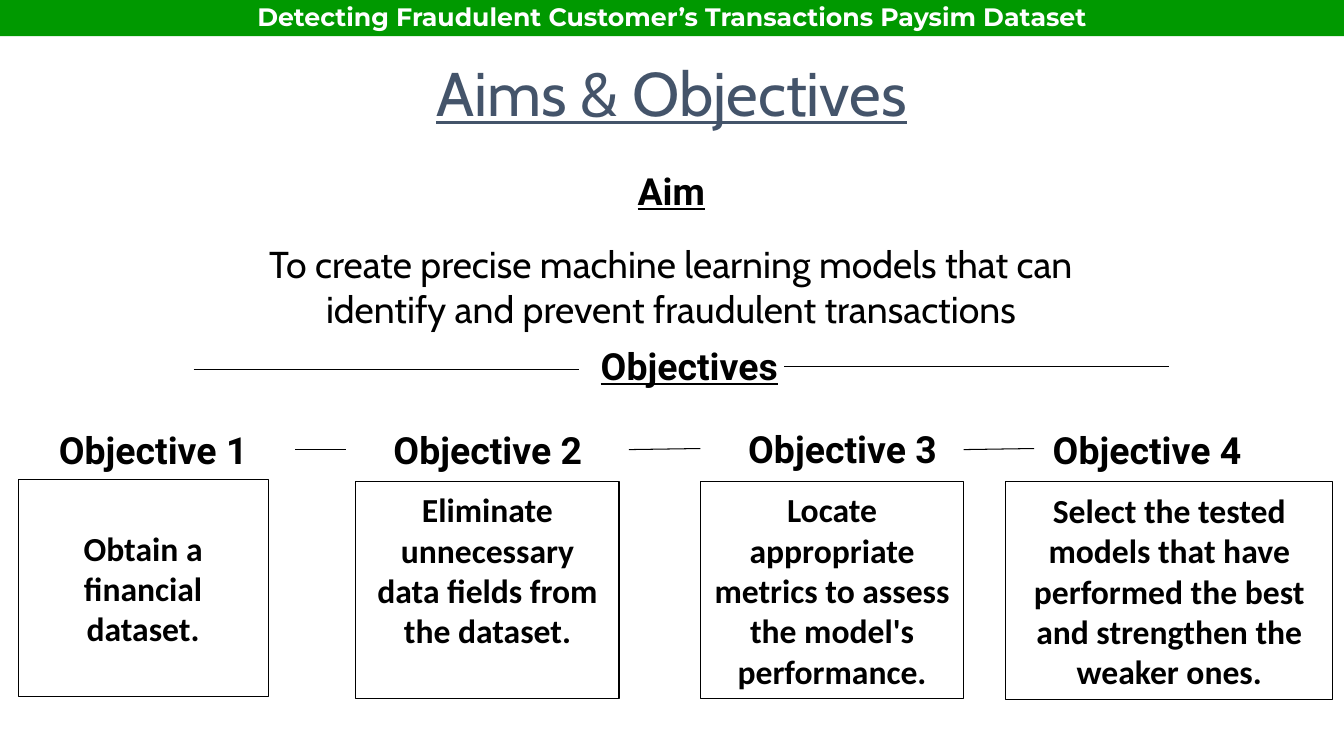
from pptx import Presentation
from pptx.dml.color import RGBColor
from pptx.enum.shapes import MSO_CONNECTOR, MSO_SHAPE
from pptx.enum.text import MSO_ANCHOR, PP_ALIGN
from pptx.oxml.ns import qn
from pptx.util import Inches, Pt
from lxml import etree

RECTANGLE = MSO_SHAPE.RECTANGLE
STRAIGHT = MSO_CONNECTOR.STRAIGHT
MIDDLE, TOP = MSO_ANCHOR.MIDDLE, MSO_ANCHOR.TOP
CENTER = PP_ALIGN.CENTER

WIDTH, HEIGHT = Inches(13.33), Inches(7.5)
BLACK, WHITE, GREEN, SLATE = "000000", "FFFFFF", "009900", "44546A"
INSET = 0.13
HEADING_SIZE, BODY_SIZE = 26.7, 24
BOX_TOP = 63.73

# heading left and top, box (left, top, width, height), bottom inset, text
OBJECTIVES = [
    (0.83, 56.27, (1.35, 63.47, 18.6, 28.67), INSET,
     "Obtain a financial dataset."),
    (25.73, 56.27, (26.48, BOX_TOP, 19.58, 28.67), INSET + 0.4,
     "Eliminate unnecessary data fields from the dataset."),
    (52.12, 56.13, (52.12, BOX_TOP, 19.58, 28.67), INSET,
     "Locate appropriate metrics to assess the model's performance."),
    (74.78, 56.27, (74.85, BOX_TOP, 24.3, 28.8), INSET,
     "Select the tested models that have performed the best "
     "and strengthen the weaker ones."),
]

# start x, start y, end x, end y
RULES = [
    (14.4, 48.93, 43.05, 48.93),
    (58.35, 48.53, 87, 48.53),
    (21.98, 59.47, 25.73, 59.47),
    (46.8, 59.47, 52.12, 59.33),
    (71.7, 59.47, 76.95, 59.33),
]


def color(value):
    return RGBColor.from_string(value)


def place(left, top, width, height):
    """Turn percentages of the slide's width and height into lengths."""
    return (int(WIDTH * left / 100), int(HEIGHT * top / 100),
            int(WIDTH * width / 100), int(HEIGHT * height / 100))


def write(shape, text, font, size, tint=BLACK, bold=False, underline=False,
          anchor=MIDDLE, sides=INSET, above=INSET, below=INSET, spacing=None):
    frame = shape.text_frame
    frame.word_wrap = True
    frame.vertical_anchor = anchor
    frame.margin_left = frame.margin_right = Inches(sides)
    frame.margin_top, frame.margin_bottom = Inches(above), Inches(below)
    para = frame.paragraphs[0]
    para.alignment = CENTER
    if spacing:
        para.line_spacing = spacing
    span = para.add_run()
    span.text = text
    span.font.name = font
    span.font.size = Pt(size)
    span.font.bold = bold
    span.font.underline = underline
    span.font.color.rgb = color(tint)


def add_label(page, area, text, font="Roboto", size=HEADING_SIZE, **style):
    write(page.shapes.add_textbox(*place(*area)), text, font, size, **style)


def add_box(page, area, fill=None, line=None):
    box = page.shapes.add_shape(RECTANGLE, *place(*area))
    box.shadow.inherit = False
    if fill:
        box.fill.solid()
        box.fill.fore_color.rgb = color(fill)
    else:
        box.fill.background()
    if line:
        box.line.color.rgb = color(line)
        box.line.width = Pt(0.75)
    else:
        box.line.fill.background()
    return box


def add_rule(page, ends):
    rule = page.shapes.add_connector(STRAIGHT, *place(*ends))
    rule.line.color.rgb = color(BLACK)
    rule.line.width = Pt(0.75)
    etree.SubElement(rule._element.spPr, qn("a:effectLst"))


def add_objective(page, number, left, top, area, below, text):
    add_label(page, (left, top, 21.15, 6.4), f"Objective {number}", bold=True)
    box = add_box(page, area, line=BLACK)
    write(box, text, "Calibri", BODY_SIZE, bold=True, below=below)


def add_banner(page, text):
    banner = add_box(page, (0, -0.53, 100, 5.33), fill=GREEN)
    write(banner, text, "Montserrat", 18, WHITE, bold=True,
          anchor=TOP, sides=0.1, above=0.05, below=0.05)


def main():
    deck = Presentation()
    deck.slide_width, deck.slide_height = WIDTH, HEIGHT
    page = deck.slides.add_slide(deck.slide_layouts[6])

    add_label(page, (7.88, 7.2, 84.22, 11.07), "Aims & Objectives", "Cabin",
              44, tint=SLATE, underline=True, spacing=0.9)
    add_label(page, (15.53, 21.07, 68.85, 8.13), "Aim",
              bold=True, underline=True)
    add_label(page, (15.53, 31.87, 68.85, 12),
              "To create precise machine learning models that can "
              "identify and prevent fraudulent transactions", "Cabin")
    add_label(page, (42.97, 44.67, 16.65, 7.33), "Objectives",
              bold=True, underline=True)
    for number, objective in enumerate(OBJECTIVES, start=1):
        add_objective(page, number, *objective)
    for ends in RULES:
        add_rule(page, ends)
    add_banner(page, "Detecting Fraudulent Customer’s Transactions "
                     "Paysim Dataset")

    deck.save("out.pptx")


if __name__ == "__main__":
    main()
